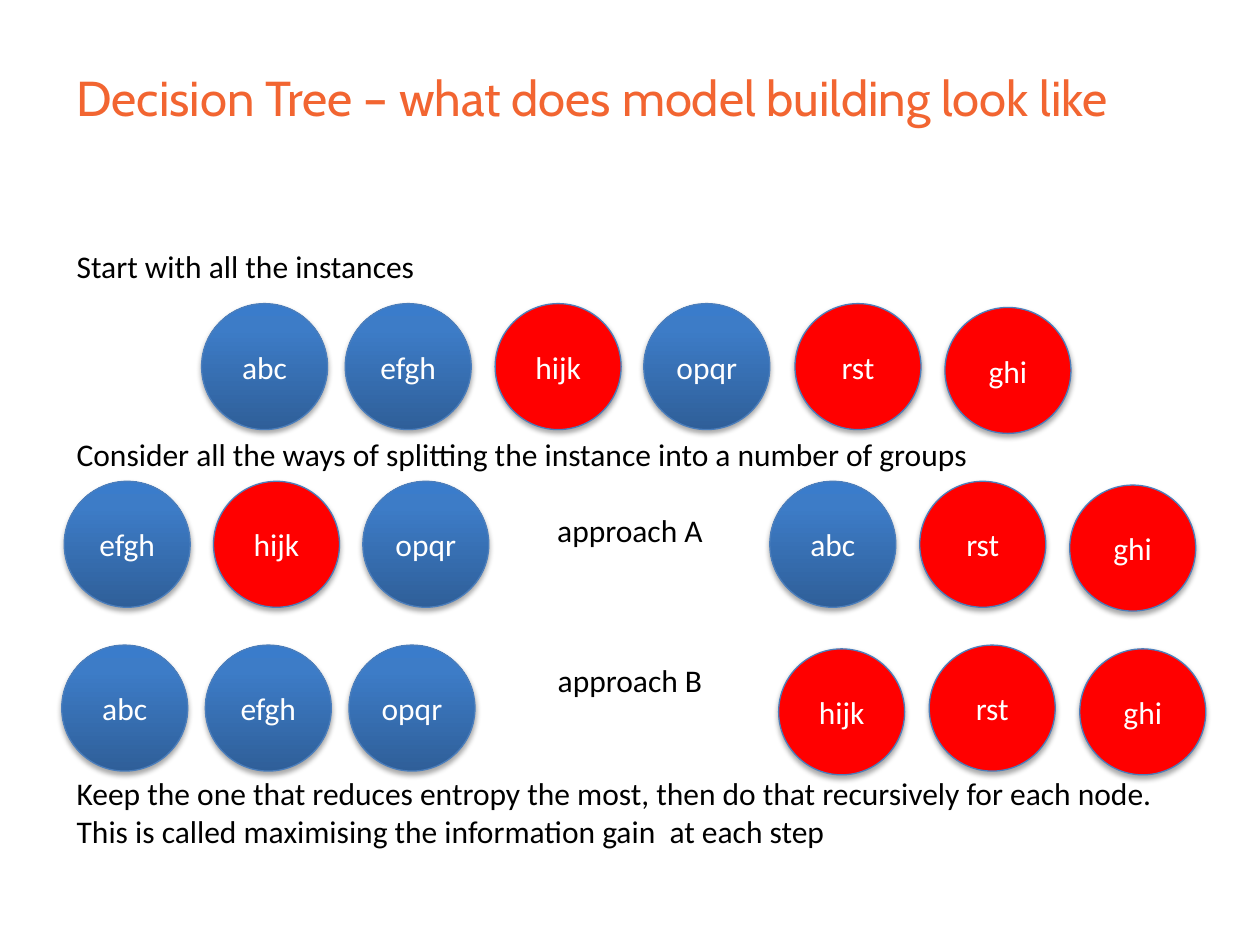
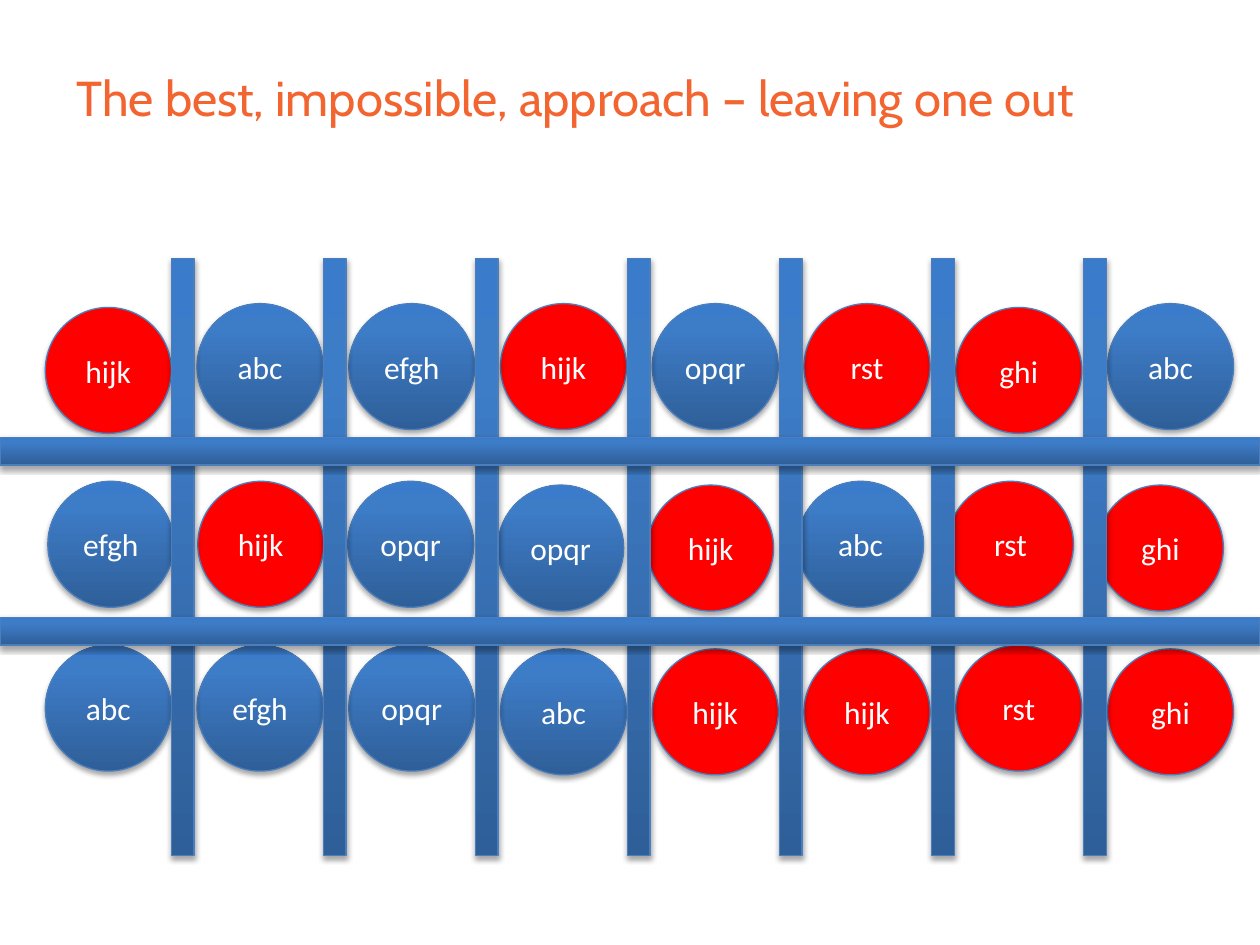
from copy import deepcopy
from lxml.etree import SubElement as sub
from pptx import Presentation
from pptx.dml.color import RGBColor
from pptx.enum.shapes import MSO_SHAPE as Kind
from pptx.enum.text import MSO_ANCHOR as Anchor, PP_ALIGN as Align
from pptx.oxml.ns import qn
from pptx.util import Inches, Pt

ORANGE, BLACK, WHITE, RED, EDGE = "F26531", "000000", "FFFFFF", "FF0000", "4B7EBC"
BLUES = [(0, "2F5F99"), (0.8, "3D7CC7"), (1, "3A7CCB")]
REDS = {"hijk", "rst", "ghi"}
SIZE, DROP = 1, 0.03
BLANK = 21.5


def rgb(code):
    """Turn a hex string into a colour."""
    return RGBColor.from_string(code)


def write(par, text, size, face, color):
    """Add one styled run to a paragraph."""
    run = par.add_run()
    run.text = text
    run.font.size, run.font.name = Pt(size), face
    run.font.color.rgb = rgb(color)


def frame(slide, box):
    """Add a wrapping text box and return its text frame."""
    text = slide.shapes.add_textbox(*map(Inches, box)).text_frame
    text.word_wrap = True
    return text


def title(slide, text):
    """Place the slide title."""
    head = frame(slide, (0.51, 0.14, 8.98, 1.25))
    head.vertical_anchor = Anchor.MIDDLE
    write(head.paragraphs[0], text, 28, "Cabin", ORANGE)


def shade(shape):
    """Give a shape the vertical blue gradient."""
    shape.fill.gradient()
    shape.fill.gradient_angle = 90
    stops = shape._element.spPr.find(".//" + qn("a:gsLst"))
    stops.insert(1, deepcopy(stops[0]))
    for stop, (place, color) in zip(shape.fill.gradient_stops, BLUES):
        stop.position = place
        stop.color.rgb = rgb(color)


def solid(slide, kind, box, red=False):
    """Add a red or blue shape with a thin edge and a soft shadow."""
    shape = slide.shapes.add_shape(kind, *map(Inches, box))
    if red:
        shape.fill.solid()
        shape.fill.fore_color.rgb = rgb(RED)
    else:
        shade(shape)
    shape.line.color.rgb = rgb(EDGE)
    shape.line.width = Pt(0.75)
    shape.shadow.inherit = False
    effect = shape._element.spPr.find(qn("a:effectLst"))
    cast = sub(effect, qn("a:outerShdw"), blurRad=str(Pt(3.1)), dist=str(Pt(1.8)),
               dir="5400000", rotWithShape="0")
    tint = sub(cast, qn("a:srgbClr"), val=BLACK)
    sub(tint, qn("a:alpha"), val="35000")
    return shape


def row(slide, top, lefts, words, low):
    """Draw a row of labelled circles, those listed in low a little lower."""
    for i, (left, word) in enumerate(zip(lefts, words.split())):
        box = left, top + DROP * (i in low), SIZE, SIZE
        text = solid(slide, Kind.OVAL, box, word in REDS).text_frame
        text.vertical_anchor = Anchor.MIDDLE
        par = text.paragraphs[0]
        par.alignment = Align.CENTER
        write(par, word, 18, "Calibri", WHITE)


def spread(first, last, count):
    """Return evenly spaced positions."""
    return [first + (last - first) * i / (count - 1) for i in range(count)]


def steps(slide, box, lines):
    """Write the steps, each after its number of open lines."""
    text = frame(slide, box)
    for i, (gap, align, line) in enumerate(lines):
        par = text.add_paragraph() if i else text.paragraphs[0]
        par.alignment = align
        if gap:
            par.space_before = Pt(gap * BLANK)
        write(par, line, 18, "Calibri", BLACK)


def bars(slide, box, lefts, tops):
    """Fence the box with upright bars, then level bars across it."""
    left, top, width, height = box
    for x in lefts:
        solid(slide, Kind.RECTANGLE, (left + x, top, 0.18, height))
    for y in tops:
        solid(slide, Kind.RECTANGLE, (left, top + y, width, 0.22))


def build(slide):
    """Show how a tree is built from splits."""
    title(slide, "Decision Tree – what does model building look like")
    steps(slide, (0.51, 1.91, 8.98, 4.95), [
        (0, Align.LEFT, "Start with all the instances"),
        (4, Align.LEFT, "Consider all the ways of splitting the instance into a number of groups"),
        (1, Align.CENTER, "approach A"),
        (3, Align.CENTER, "approach B"),
        (2, Align.LEFT, "Keep the one that reduces entropy the most, "
                        "then do that recursively for each node."),
        (0, Align.LEFT, "This is called maximising the information gain  at each step"),
    ])
    row(slide, 2.41, (1.6, 2.74, 3.93, 5.11, 6.31, 7.5), "abc efgh hijk opqr rst ghi", {5})
    row(slide, 3.82, spread(0.51, 2.88, 3), "efgh hijk opqr", ())
    row(slide, 3.82, spread(6.11, 8.49, 3), "abc rst ghi", {2})
    row(slide, 5.12, spread(0.49, 2.77, 3), "abc efgh opqr", ())
    row(slide, 5.12, spread(6.18, 8.57, 3), "hijk rst ghi", {0, 2})


def fence(slide):
    """Show each instance in a cell of its own."""
    title(slide, "The best, impossible, approach – leaving one out")
    wide = spread(0.36, 8.79, 8)
    row(slide, 2.41, wide, "hijk abc efgh hijk opqr rst ghi abc", {0, 6})
    row(slide, 3.82, spread(0.38, 8.71, 8), "efgh hijk opqr opqr hijk abc rst ghi", {3, 4, 7})
    row(slide, 5.12, wide, "abc efgh opqr abc hijk hijk rst ghi", {3, 4, 5, 7})
    bars(slide, (0, 2.05, 10, 4.74), spread(1.36, 8.6, 7), (1.42, 2.85))


def main():
    """Build and save the deck."""
    deck = Presentation()
    deck.slide_width, deck.slide_height = Inches(10), Inches(7.5)
    for draw in (build, fence):
        draw(deck.slides.add_slide(deck.slide_layouts[6]))
    deck.save("out.pptx")


if __name__ == "__main__":
    main()
